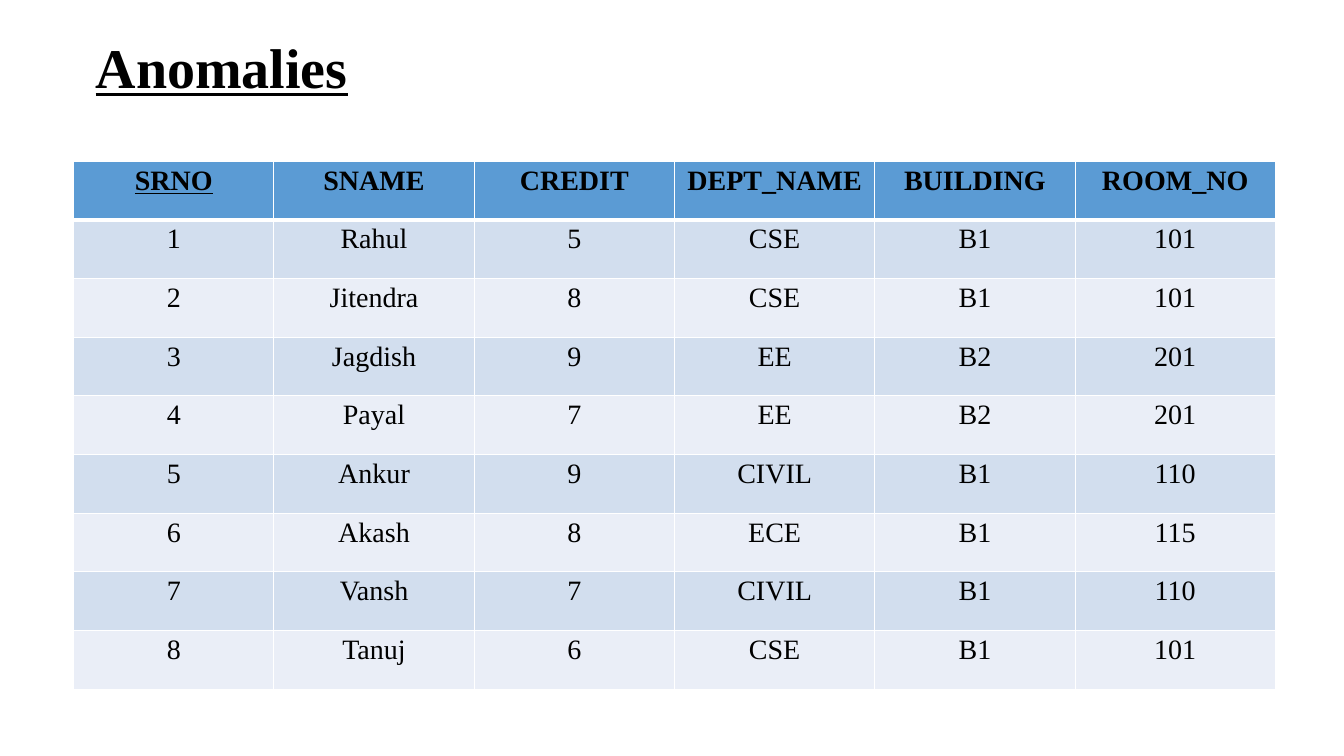
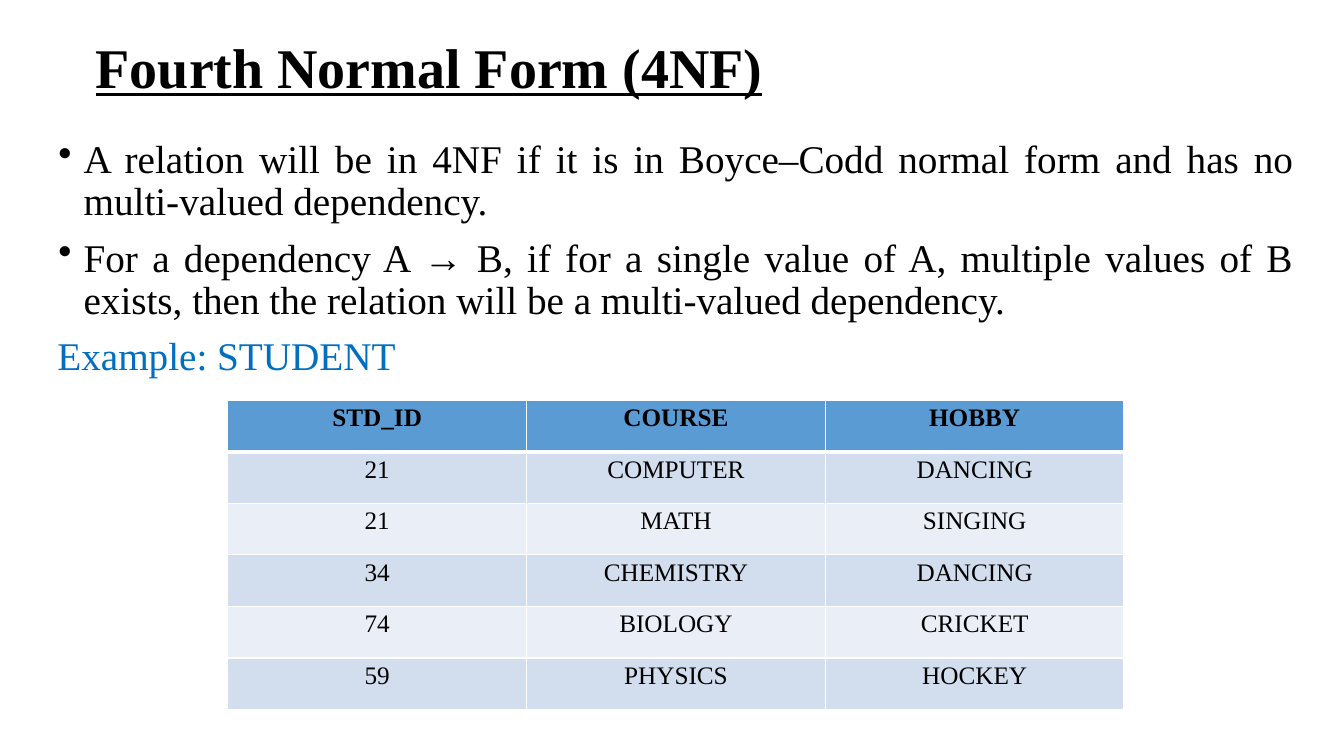
from dataclasses import dataclass
from typing import Any

from lxml.etree import SubElement
from pptx import Presentation
from pptx.dml.color import RGBColor
from pptx.enum.text import MSO_ANCHOR, PP_ALIGN as Align
from pptx.oxml.ns import qn
from pptx.util import Pt

EMU_PER_PX = 9144
FONT = "Times New Roman"
COLORS = {
    "text": "000000",
    "example": "006FC0",
    "header": "5B9BD4",
    "odd_row": "D2DEEE",
    "even_row": "EAEEF7",
    "border": "FFFFFF",
}
TITLE_FORMAT = {"size": Pt(40), "bold": True, "underline": True}
BODY_FORMAT = {"size": Pt(28)}


@dataclass(frozen=True)
class Box:
    left: int
    top: int
    width: int
    height: int

    def emu(self) -> list[int]:
        return [px(value) for value in (self.left, self.top, self.width, self.height)]


@dataclass(frozen=True)
class BodyLine:
    text: str
    space_before: float = 0
    bulleted: bool = True
    color: str = "text"


@dataclass(frozen=True)
class DataTable:
    box: Box
    font_size: int
    rows: list[str]
    key_column: int | None = None


@dataclass(frozen=True)
class Page:
    title: str
    table: DataTable
    body: tuple[BodyLine, ...] = ()


TITLE_BOX = Box(95, 3, 1143, 117)
BODY_BOX = Box(57, 130, 1226, 245)

PAGES = [
    Page(
        "Anomalies",
        DataTable(
            Box(73, 160, 1192, 524),
            20,
            [
                "SRNO SNAME CREDIT DEPT_NAME BUILDING ROOM_NO",
                "1 Rahul 5 CSE B1 101",
                "2 Jitendra 8 CSE B1 101",
                "3 Jagdish 9 EE B2 201",
                "4 Payal 7 EE B2 201",
                "5 Ankur 9 CIVIL B1 110",
                "6 Akash 8 ECE B1 115",
                "7 Vansh 7 CIVIL B1 110",
                "8 Tanuj 6 CSE B1 101",
            ],
            key_column=0,
        ),
    ),
    Page(
        "Fourth Normal Form (4NF)",
        DataTable(
            Box(226, 397, 889, 307),
            18,
            [
                "STD_ID COURSE HOBBY",
                "21 COMPUTER DANCING",
                "21 MATH SINGING",
                "34 CHEMISTRY DANCING",
                "74 BIOLOGY CRICKET",
                "59 PHYSICS HOCKEY",
            ],
        ),
        (
            BodyLine(
                "A relation will be in 4NF if it is in Boyce–Codd normal form "
                "and has no multi-valued dependency."
            ),
            BodyLine(
                "For a dependency A → B, if for a single value of A, multiple values of B "
                "exists, then the relation will be a multi-valued dependency.",
                space_before=10.2,
            ),
            BodyLine("Example: STUDENT", 6.2, bulleted=False, color="example"),
        ),
    ),
]


def px(value: int) -> int:
    return value * EMU_PER_PX


def add_run(paragraph: Any, text: str, values: dict[str, Any], color: str = "text") -> None:
    run = paragraph.add_run()
    run.text = text
    for name, value in {"name": FONT, **values}.items():
        setattr(run.font, name, value)
    run.font.color.rgb = RGBColor.from_string(COLORS[color])


def add_text_frame(slide: Any, box: Box, top_inset: int) -> Any:
    frame = slide.shapes.add_textbox(*box.emu()).text_frame
    values = {
        "word_wrap": True,
        "vertical_anchor": MSO_ANCHOR.TOP,
        "margin_left": 0,
        "margin_top": px(top_inset),
        "margin_right": 0,
        "margin_bottom": 0,
    }
    for name, value in values.items():
        setattr(frame, name, value)
    return frame


def add_title(slide: Any, title: str) -> None:
    frame = add_text_frame(slide, TITLE_BOX, 29)
    add_run(frame.paragraphs[0], title, TITLE_FORMAT)


def add_bullet(paragraph: Any) -> None:
    properties = paragraph._p.get_or_add_pPr()
    properties.set("marL", str(px(26)))
    properties.set("indent", str(px(-25)))
    SubElement(properties, qn("a:buChar"), char="•")


def add_body(slide: Any, lines: tuple[BodyLine, ...]) -> None:
    frame = add_text_frame(slide, BODY_BOX, 8)
    for index, line in enumerate(lines):
        paragraph = frame.add_paragraph() if index else frame.paragraphs[0]
        if line.bulleted:
            add_bullet(paragraph)
            paragraph.alignment = Align.JUSTIFY
            paragraph.line_spacing = Pt(30.2)
        if line.space_before:
            paragraph.space_before = Pt(line.space_before)
        add_run(paragraph, line.text, BODY_FORMAT, line.color)


def set_borders(cell: Any, row: int) -> None:
    properties = cell._tc.get_or_add_tcPr()
    widths = {"lnL": 1, "lnR": 1, "lnT": 3 if row == 1 else 1, "lnB": 3 if row == 0 else 1}
    for tag, width in widths.items():
        line = SubElement(properties, qn(f"a:{tag}"), w=str(Pt(width)))
        fill = SubElement(line, qn("a:solidFill"))
        SubElement(fill, qn("a:srgbClr"), val=COLORS["border"])


def fill_cell(cell: Any, text: str, row: int, values: dict[str, Any]) -> None:
    margins = {"margin_left": 0, "margin_top": px(4), "margin_right": 0, "margin_bottom": 0}
    for name, value in margins.items():
        setattr(cell, name, value)
    set_borders(cell, row)
    color = "header" if row == 0 else "odd_row" if row % 2 else "even_row"
    cell.fill.solid()
    cell.fill.fore_color.rgb = RGBColor.from_string(COLORS[color])
    paragraph = cell.text_frame.paragraphs[0]
    paragraph.alignment = Align.CENTER
    add_run(paragraph, text, values)


def add_data_table(slide: Any, data: DataTable) -> None:
    rows = [row.split() for row in data.rows]
    table = slide.shapes.add_table(len(rows), len(rows[0]), *data.box.emu()).table
    for column in table.columns:
        column.width = px(data.box.width) // len(rows[0])
    for row_index, row in enumerate(rows):
        table.rows[row_index].height = px(data.box.height) // len(rows)
        for column_index, text in enumerate(row):
            is_header = row_index == 0
            values = {
                "size": Pt(data.font_size),
                "bold": is_header,
                "underline": is_header and column_index == data.key_column,
            }
            fill_cell(table.cell(row_index, column_index), text, row_index, values)


def main() -> None:
    """Build the slides on anomalies and the fourth normal form."""
    presentation = Presentation()
    presentation.slide_width = px(1333)
    presentation.slide_height = px(750)
    for page in PAGES:
        slide = presentation.slides.add_slide(presentation.slide_layouts[6])
        add_title(slide, page.title)
        if page.body:
            add_body(slide, page.body)
        add_data_table(slide, page.table)
    presentation.save("out.pptx")


if __name__ == "__main__":
    main()
